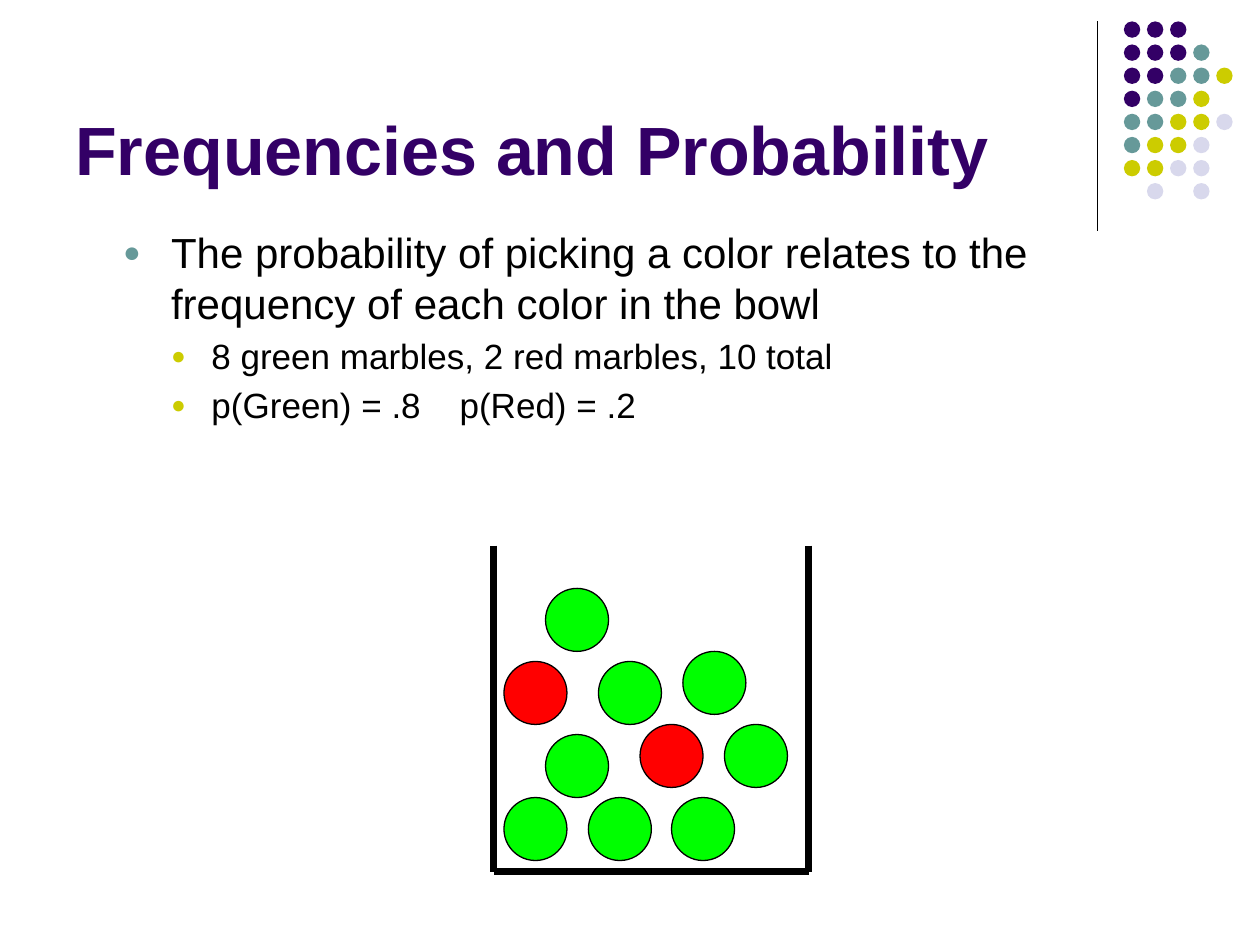
from lxml import etree
from pptx import Presentation
from pptx.dml.color import RGBColor
from pptx.enum.shapes import MSO_CONNECTOR, MSO_SHAPE
from pptx.enum.text import MSO_ANCHOR
from pptx.oxml.ns import qn
from pptx.util import Inches, Pt

STRAIGHT = MSO_CONNECTOR.STRAIGHT
OVAL = MSO_SHAPE.OVAL
TOP, BOTTOM = MSO_ANCHOR.TOP, MSO_ANCHOR.BOTTOM

BLACK = RGBColor(0x00, 0x00, 0x00)
PURPLE = RGBColor(0x33, 0x00, 0x66)
TEAL = RGBColor(0x66, 0x99, 0x99)
OLIVE = RGBColor(0xCC, 0xCC, 0x00)
LAVENDER = RGBColor(0xD8, 0xD8, 0xEC)
RED = RGBColor(0xFF, 0x00, 0x00)
GREEN = RGBColor(0x00, 0xFF, 0x00)


def add_circle(shapes, left, top, size, color):
    """Add a filled circle without an outline and return it."""
    circle = shapes.add_shape(OVAL, Inches(left), Inches(top), Inches(size), Inches(size))
    circle.shadow.inherit = False
    circle.fill.solid()
    circle.fill.fore_color.rgb = color
    circle.line.fill.background()
    return circle


def add_line(shapes, start, end, width):
    """Add a straight black line between two points."""
    line = shapes.add_connector(STRAIGHT, *map(Inches, start + end))
    line.line.color.rgb = BLACK
    line.line.width = Pt(width)
    etree.SubElement(line._element.spPr, qn("a:effectLst"))


deck = Presentation()
deck.slide_width, deck.slide_height = Inches(10), Inches(7.5)
page = deck.slides.add_slide(deck.slide_layouts[6])

# Corner decoration: a rule and a grid of dots, one letter per dot
add_line(page.shapes, (8.71, 0.17), (8.71, 1.83), 0.75)
DOT_COLORS = {"P": PURPLE, "T": TEAL, "O": OLIVE, "L": LAVENDER}
DOT_ROWS = ["PPP", "PPPT", "PPTTO", "PTTO", "TTOOL", "TOOL", "OOLL", ".L.L"]
DOT_PITCH = 1.1 / 6
dots = page.shapes.add_group_shape()
for row, letters in enumerate(DOT_ROWS):
    for column, letter in enumerate(letters):
        if letter in DOT_COLORS:
            add_circle(dots.shapes, 8.92 + column * DOT_PITCH, 0.17 + row * DOT_PITCH,
                       0.13, DOT_COLORS[letter])

# Title and bullets: text, size, bold, color, indent, hanging, bullet color
TITLE = [("Frequencies and Probability", 39, True, PURPLE, 0, 0, None)]
BULLETS = [
    ("The probability of picking a color relates to the frequency of each color in the bowl",
     24, False, BLACK, 0.76, 0.38, TEAL),
    ("8 green marbles, 2 red marbles, 10 total", 20, False, BLACK, 1.08, 0.32, OLIVE),
    ("p(Green) = .8    p(Red) = .2", 20, False, BLACK, 1.08, 0.32, OLIVE),
]
for top, height, anchor, lines in [(0.3, 1.25, BOTTOM, TITLE), (1.75, 2.39, TOP, BULLETS)]:
    box = page.shapes.add_textbox(Inches(0.5), Inches(top), Inches(9), Inches(height))
    frame = box.text_frame
    frame.word_wrap = True
    frame.vertical_anchor = anchor
    frame.text = "\n".join(line[0] for line in lines)
    for para, (_, size, bold, color, indent, hanging, bullet_color) in zip(frame.paragraphs, lines):
        font = para.runs[0].font
        font.name, font.size, font.bold = "Arial", Pt(size), bold
        font.color.rgb = color
        if bullet_color is None:
            continue
        para.level = 0 if size == 24 else 1
        para.space_before = Pt(size * 0.2)
        properties = para._p.get_or_add_pPr()
        properties.set("marL", str(Inches(indent)))
        properties.set("indent", str(-Inches(hanging)))
        bullet = etree.SubElement(properties, qn("a:buClr"))
        etree.SubElement(bullet, qn("a:srgbClr"), val=str(bullet_color))
        etree.SubElement(properties, qn("a:buSzPct"), val="70000")
        etree.SubElement(properties, qn("a:buFont"), typeface="Arial")
        etree.SubElement(properties, qn("a:buChar"), char="●")

# Bowl of marbles
MARBLES = [
    (5.08, 5.75, RED), (4.75, 5.25, GREEN), (4, 5.25, RED), (4.67, 6.33, GREEN),
    (4.33, 5.83, GREEN), (4, 6.33, GREEN), (5.75, 5.75, GREEN), (5.42, 5.17, GREEN),
    (5.33, 6.33, GREEN), (4.33, 4.67, GREEN),
]
bowl = page.shapes.add_group_shape()
for left, top, color in MARBLES:
    marble = add_circle(bowl.shapes, left, top, 0.5, color)
    marble.line.color.rgb = BLACK
    marble.line.width = Pt(0.75)
BOWL_LEFT, BOWL_RIGHT, BOWL_TOP, BOWL_BOTTOM = 3.92, 6.42, 4.33, 6.92
add_line(bowl.shapes, (BOWL_RIGHT, BOWL_BOTTOM), (BOWL_LEFT, BOWL_BOTTOM), 4)
for side in (BOWL_RIGHT, BOWL_LEFT):
    add_line(bowl.shapes, (side, BOWL_TOP), (side, BOWL_BOTTOM), 4)

deck.save("out.pptx")
